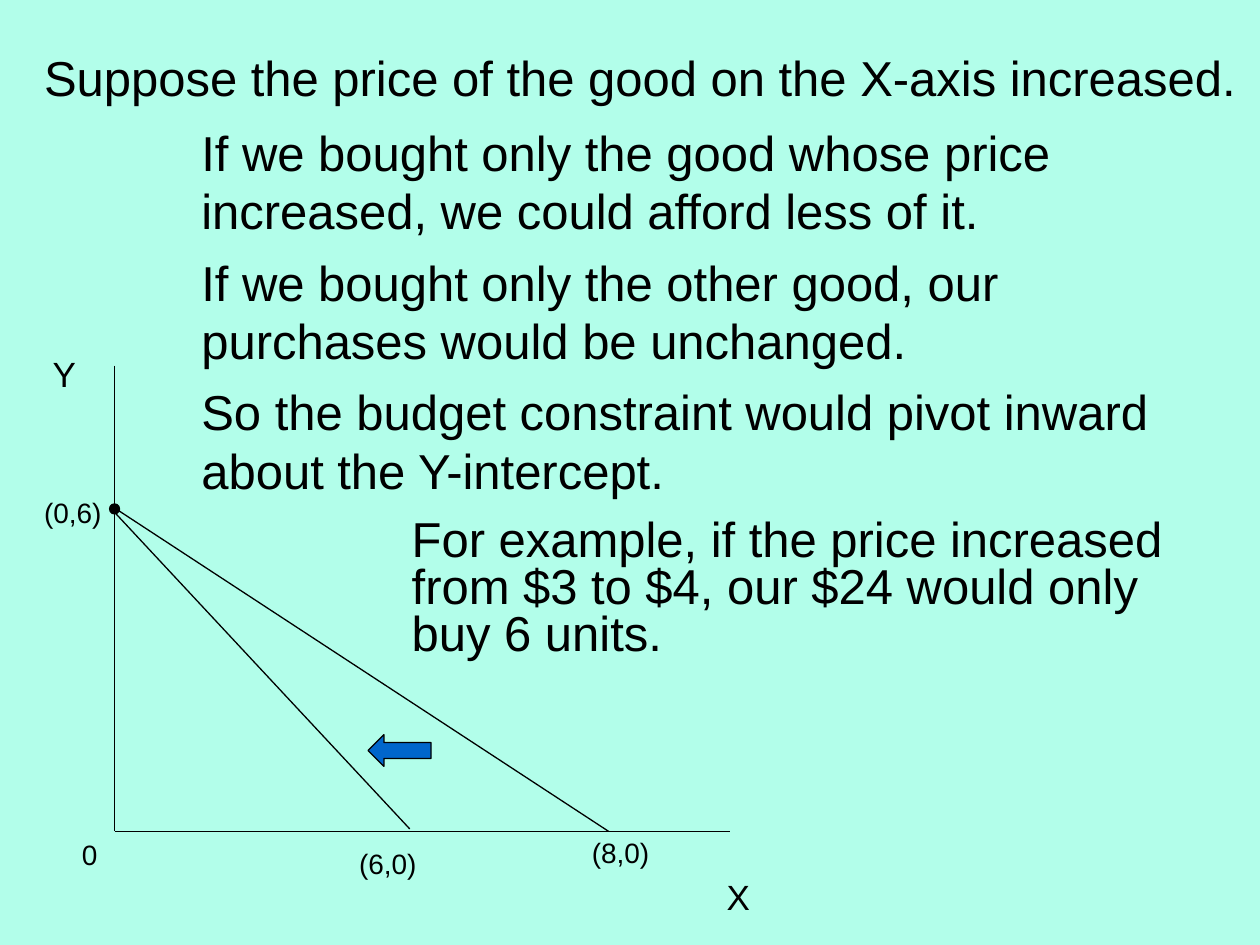
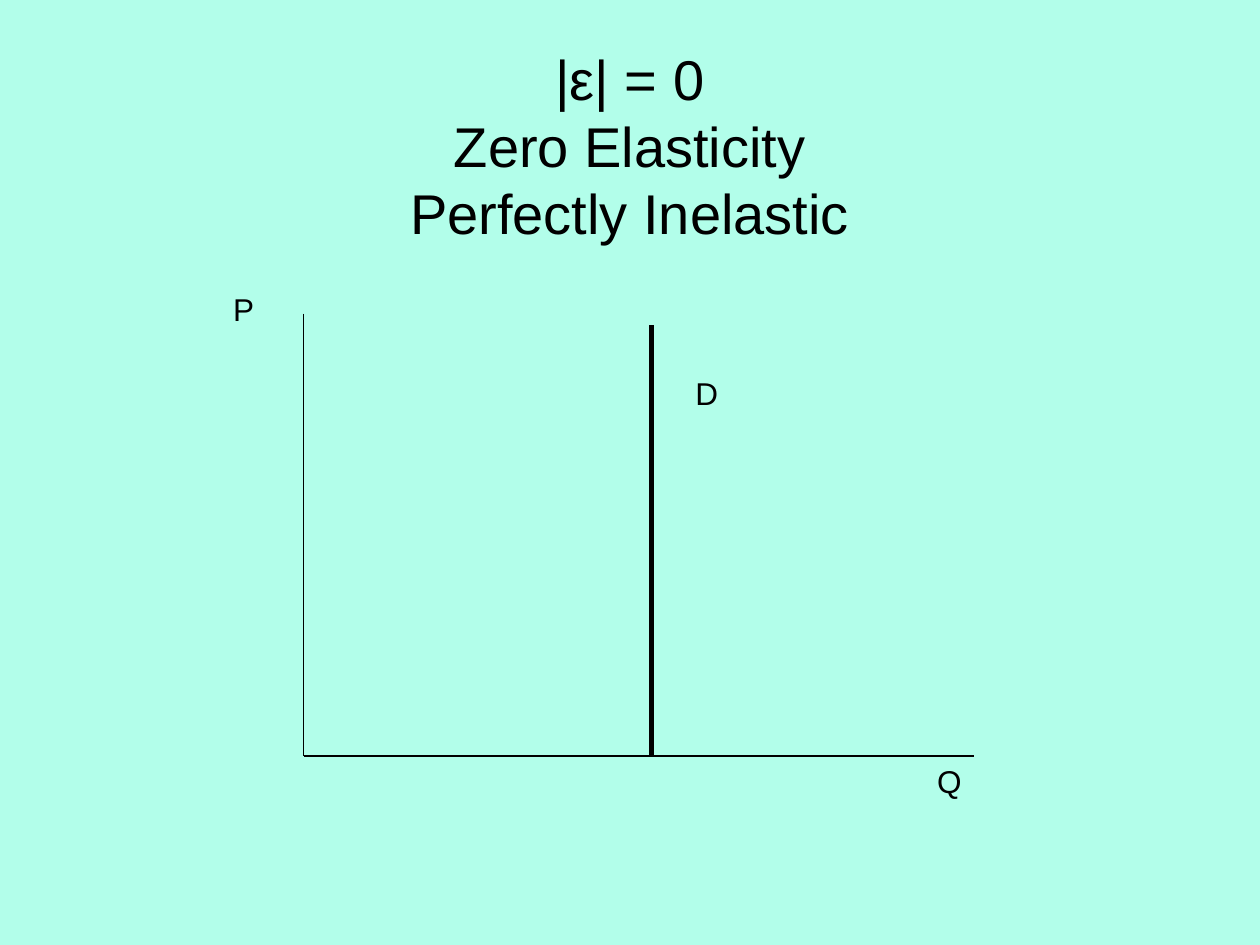
from lxml import etree
from pptx import Presentation
from pptx.dml.color import RGBColor
from pptx.enum.shapes import MSO_CONNECTOR, MSO_SHAPE
from pptx.enum.text import MSO_ANCHOR, PP_ALIGN
from pptx.oxml.ns import qn
from pptx.util import Cm, Pt

MINT = RGBColor(0xB2, 0xFE, 0xEA)
BLACK = RGBColor(0x00, 0x00, 0x00)
BLUE = RGBColor(0x00, 0x66, 0xCC)
FONT = "Arial"
BODY_SIZE = 28
LINE_HEIGHT = 1.2  # line pitch as a multiple of the font size
THIN, THICK = 0.75, 3


def add_text(slide, area, paragraphs, size, anchor=MSO_ANCHOR.TOP,
             align=PP_ALIGN.LEFT, spacing=1.0, gap=0):
    """Write paragraphs in area (left, top, width, height in cm)."""
    frame = slide.shapes.add_textbox(*map(Cm, area)).text_frame
    frame.word_wrap = True
    frame.vertical_anchor = anchor
    frame.text = "\n".join(paragraphs)
    for index, paragraph in enumerate(frame.paragraphs):
        paragraph.alignment = align
        paragraph.line_spacing = Pt(size * LINE_HEIGHT * spacing)
        paragraph.space_before = Pt(gap if index else 0)
        for run in paragraph.runs:
            run.font.name = FONT
            run.font.size = Pt(size)
            run.font.color.rgb = BLACK


def add_title(slide, area, text, size, align=PP_ALIGN.LEFT):
    add_text(slide, area, [text], size, MSO_ANCHOR.MIDDLE, align)


def add_labels(slide, size, height, labels):
    for text, left, top, width in labels:
        add_text(slide, (left, top, width, height), [text], size)


def add_line(slide, start, end, weight=THIN):
    line = slide.shapes.add_connector(
        MSO_CONNECTOR.STRAIGHT, *map(Cm, (*start, *end)))
    line.line.color.rgb = BLACK
    line.line.width = Pt(weight)
    properties = line._element.find(qn("p:spPr"))
    etree.SubElement(properties, qn("a:effectLst"))


def add_axes(slide, origin, top, right):
    add_line(slide, (origin[0], top), origin)
    add_line(slide, origin, (right, origin[1]))


def add_marker(slide, preset, area, color):
    marker = slide.shapes.add_shape(preset, *map(Cm, area))
    marker.shadow.inherit = False
    marker.fill.solid()
    marker.fill.fore_color.rgb = color
    marker.line.color.rgb = BLACK
    marker.line.width = Pt(THIN)


def build_price_increase(slide):
    add_title(slide, (0.64, 0.76, 24.76, 1.57),
              "Suppose the price of the good on the X-axis increased.", BODY_SIZE)
    add_text(slide, (3.81, 2.34, 20.95, 8.05), [
        "If we bought only the good whose price increased, we could afford less of it.",
        "If we bought only the other good, our purchases would be unchanged.",
        "So the budget constraint would pivot inward about the Y-intercept.",
    ], BODY_SIZE, gap=7)

    origin = (2.31, 16.76)
    add_axes(slide, origin, top=7.37, right=14.71)
    add_line(slide, (origin[0], 10.24), (12.27, origin[1]))
    add_line(slide, (2.34, 10.36), (8.26, 16.71))
    add_labels(slide, 20, 1.12, [
        ("X", 14.4, 17.53, 0.94),
        ("Y", 0.81, 6.99, 0.94),
    ])
    add_labels(slide, 16, 0.94, [
        ("(0,6)", 0.64, 9.86, 1.7),
        ("(8,0)", 11.68, 16.71, 1.88),
        ("0", 1.4, 16.76, 0.94),
        ("(6,0)", 6.99, 16.94, 2.34),
    ])
    add_marker(slide, MSO_SHAPE.LEFT_ARROW, (7.42, 14.81, 1.27, 0.64), BLUE)
    add_marker(slide, MSO_SHAPE.OVAL, (2.21, 10.16, 0.2, 0.2), BLACK)
    add_text(slide, (8.05, 10.36, 16.31, 3.1), [
        "For example, if the price increased from $3 to $4, "
        "our $24 would only buy 6 units.",
    ], BODY_SIZE, spacing=0.8)


def build_zero_elasticity(slide):
    add_title(slide, (1.27, 0.76, 22.86, 4.32),
              "|ε| = 0\vZero Elasticity\vPerfectly Inelastic", 32, PP_ALIGN.CENTER)
    origin = (6.12, 15.24)
    demand = 13.13
    add_axes(slide, origin, top=6.32, right=19.63)
    add_labels(slide, 18, 1.02, [
        ("P", 4.45, 5.72, 1.68),
        ("Q", 18.64, 15.24, 1.68),
        ("D", 13.77, 7.42, 1.35),
    ])
    add_line(slide, (demand, origin[1]), (demand, 6.55), THICK)


def main():
    deck = Presentation()
    deck.slide_width, deck.slide_height = Cm(25.4), Cm(19.05)
    backdrop = deck.slide_master.background.fill
    backdrop.solid()
    backdrop.fore_color.rgb = MINT
    blank = deck.slide_layouts[6]
    for build in (build_price_increase, build_zero_elasticity):
        build(deck.slides.add_slide(blank))
    deck.save("out.pptx")


if __name__ == "__main__":
    main()
